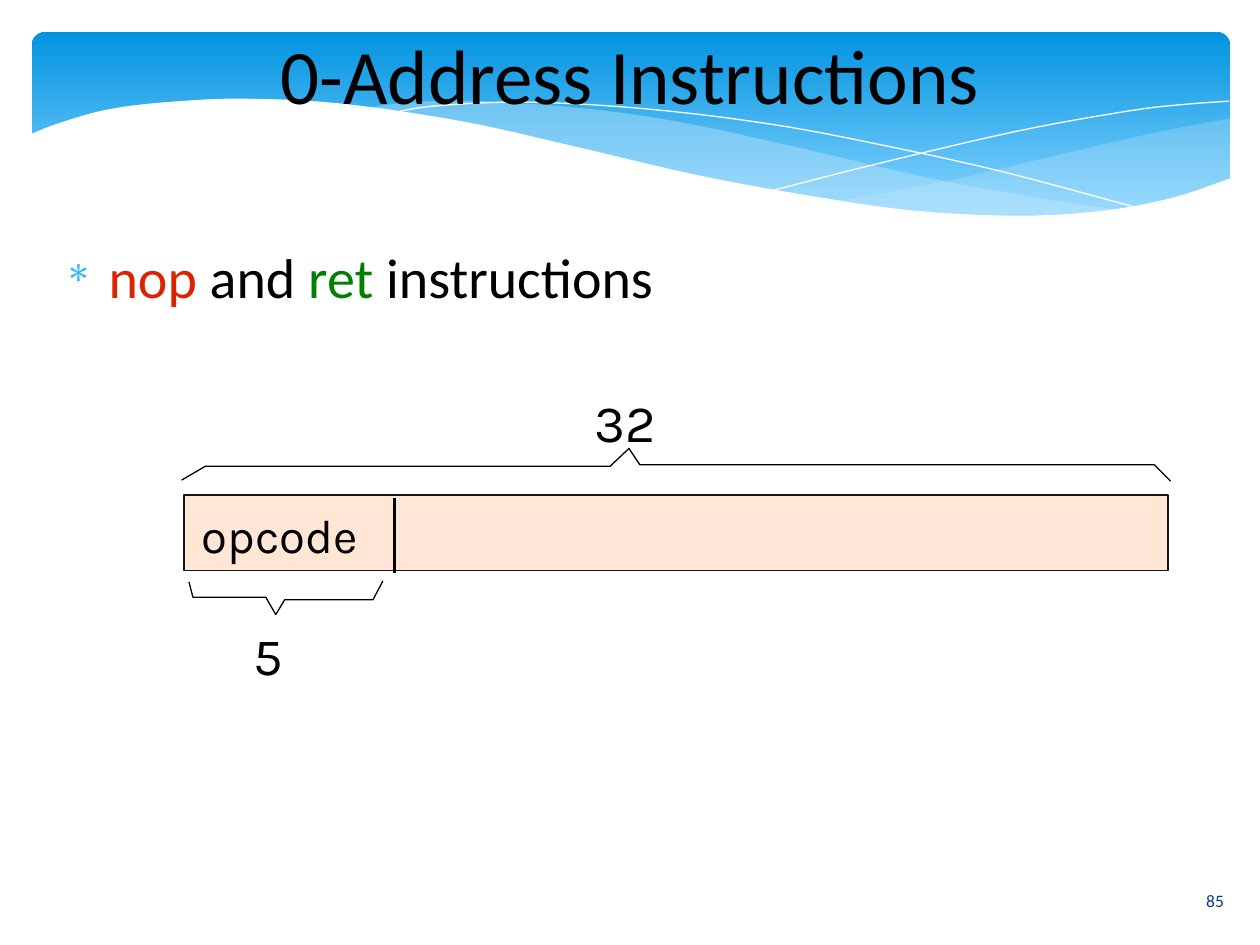
from dataclasses import dataclass

from lxml.etree import SubElement
from pptx import Presentation
from pptx.dml.color import RGBColor
from pptx.enum.shapes import MSO_CONNECTOR, MSO_SHAPE
from pptx.enum.text import MSO_ANCHOR, PP_ALIGN
from pptx.oxml.ns import qn
from pptx.util import Cm, Pt


@dataclass(frozen=True)
class Theme:
    black: str = "000000"
    white: str = "FFFFFF"
    banner_top: str = "0293E0"
    banner_bottom: str = "83D3FE"
    veil: str = "C6E7FC"
    bullet: str = "31B6FD"
    red: str = "DC2300"
    green: str = "008000"
    page: str = "073E87"
    field: str = "FFE6D5"
    field_line: str = "15111D"
    text_font: str = "Calibri"
    code_font: str = "Karla"
    title_size: int = 44
    body_size: int = 32
    width_size: int = 30
    opcode_size: int = 27
    page_size: int = 10


THEME = Theme()

# Banner curves, in cm from the banner's top left corner
WAVE = [(-0.05, 2.08), (0.53, 1.85), (1.52, 1.57), (2.72, 1.42), (4.27, 1.35),
        (6.25, 1.45), (8.64, 1.8), (10.72, 2.26), (13.46, 2.9), (15.82, 3.33),
        (17.81, 3.61), (19.91, 3.71), (21.59, 3.61), (22.99, 3.35), (24.18, 2.95)]
WAVE_BASE = [(24.18, 5.05), (-0.05, 5.05)]
RIGHT_VEIL_TOP = [(24.16, 1.75), (22.76, 2.01), (21.23, 2.36), (18.49, 3), (16.15, 3.43)]
RIGHT_VEIL_BOTTOM = [(16.15, 3.43), (17.63, 3.61), (19.2, 3.71), (20.57, 3.73),
                     (21.95, 3.58), (23.11, 3.33), (24.16, 2.95)]
MIDDLE_VEIL_TOP = [(22.05, 3.61), (20.62, 3.4), (18.19, 2.97), (15.34, 2.31), (13.11, 1.83),
                   (11.18, 1.55), (9.02, 1.4), (7.7, 1.42), (6.63, 1.55)]
MIDDLE_VEIL_BOTTOM = [(6.63, 1.55), (8.05, 1.75), (10.77, 2.31), (13.74, 3), (15.88, 3.38),
                      (18.06, 3.66), (20.14, 3.76), (22.05, 3.61)]
FALLING_LINE = [(7.21, 1.65), (8.1, 1.5), (9.93, 1.42), (12.32, 1.55), (14.81, 1.85),
                (17.02, 2.26), (19.56, 2.82), (22.4, 3.58)]
RISING_LINE = [(14.94, 3.2), (17.02, 2.67), (19.84, 2.01), (22.1, 1.6), (23.19, 1.47),
               (24.13, 1.4)]

# Braces, in cm from the instruction word's top left corner
WORD_BRACE = [(-0.05, -0.3), (0.43, -0.58), (8.59, -0.58), (8.97, -0.94), (9.19, -0.61),
              (19.56, -0.61), (19.89, -0.28)]
OPCODE_BRACE = [(0.1, 1.75), (0.18, 2.06), (1.65, 2.06), (1.85, 2.41), (2.03, 2.11),
                (3.81, 2.11), (4.01, 1.73)]


def color(value):
    return RGBColor.from_string(value)


def smooth(points, steps=5):
    """Return a Catmull-Rom curve through the points as short segments."""
    padded = [points[0], *points, points[-1]]
    curve = [points[0]]
    for a, b, c, d in zip(padded, padded[1:], padded[2:], padded[3:]):
        for step in range(1, steps + 1):
            t = step / steps
            curve.append(tuple(
                0.5 * (2 * q + (r - p) * t + (2 * p - 5 * q + 4 * r - s) * t ** 2
                       + (3 * q - p - 3 * r + s) * t ** 3)
                for p, q, r, s in zip(a, b, c, d)))
    return curve


def add_outline(slide, left, top, points, fill=None, line=None, alpha=None):
    """Draw points given in cm from (left, top); closed only when filled."""
    places = [(Cm(left + x), Cm(top + y)) for x, y in points]
    builder = slide.shapes.build_freeform(*places[0])
    builder.add_line_segments(places[1:], close=fill is not None)
    shape = builder.convert_to_shape()
    paint(shape, fill, line)
    if alpha is not None:
        fill_color = shape.fill._xPr.find(qn("a:solidFill"))[0]
        SubElement(fill_color, qn("a:alpha"), val=str(alpha * 1000))


def paint(shape, fill, line):
    shape.shadow.inherit = False
    if fill:
        shape.fill.solid()
        shape.fill.fore_color.rgb = color(fill)
    else:
        shape.fill.background()
    if line:
        shape.line.color.rgb = color(line)
        shape.line.width = Pt(0)
    else:
        shape.line.fill.background()


def add_text(slide, box, text, size, font=THEME.text_font, ink=THEME.black,
             align=PP_ALIGN.LEFT, anchor=MSO_ANCHOR.TOP, wrap=True):
    """Add a text box without margins and return its paragraph."""
    frame = slide.shapes.add_textbox(*map(Cm, box)).text_frame
    frame.word_wrap = wrap
    frame.vertical_anchor = anchor
    frame.margin_left = frame.margin_right = frame.margin_top = frame.margin_bottom = 0
    paragraph = frame.paragraphs[0]
    paragraph.text = text
    paragraph.alignment = align
    paragraph.font.size = Pt(size)
    paragraph.font.name = font
    paragraph.font.color.rgb = color(ink)
    return paragraph


def add_banner(slide, left, top, width, height):
    panel = slide.shapes.add_shape(MSO_SHAPE.ROUNDED_RECTANGLE,
                                   *map(Cm, (left, top, width, height)))
    panel.adjustments[0] = 0.07
    paint(panel, None, None)
    panel.fill.gradient()
    panel.fill.gradient_angle = 270
    stops = zip(panel.fill.gradient_stops, (0, 0.9), (THEME.banner_top, THEME.banner_bottom))
    for stop, position, value in stops:
        stop.position = position
        stop.color.rgb = color(value)
    for upper, lower, alpha in ((RIGHT_VEIL_TOP, RIGHT_VEIL_BOTTOM, 29),
                                (MIDDLE_VEIL_TOP, MIDDLE_VEIL_BOTTOM, 40)):
        add_outline(slide, left, top, smooth(upper) + smooth(lower), THEME.veil, alpha=alpha)
    for points in (FALLING_LINE, RISING_LINE):
        add_outline(slide, left, top, smooth(points), line=THEME.white)
    add_outline(slide, left, top, smooth(WAVE) + WAVE_BASE, THEME.white)


def add_bullet_line(slide, box, parts):
    paragraph = add_text(slide, box, "", THEME.body_size)
    properties = paragraph._p.get_or_add_pPr()
    properties.set("marL", str(Cm(1.35)))
    properties.set("indent", str(Cm(-0.89)))
    bullet_color = SubElement(properties, qn("a:buClr"))
    SubElement(bullet_color, qn("a:srgbClr"), val=THEME.bullet)
    SubElement(properties, qn("a:buSzPct"), val="70000")
    SubElement(properties, qn("a:buFont"), typeface="Symbol")
    SubElement(properties, qn("a:buChar"), char="∗")
    properties.append(properties.find(qn("a:defRPr")))
    for text, ink in parts:
        run = paragraph.add_run()
        run.text = text
        run.font.color.rgb = color(ink)


def add_instruction_word(slide, left, top, width, height):
    """Draw the word with its opcode field, braces and bit widths."""
    word = slide.shapes.add_shape(MSO_SHAPE.RECTANGLE, *map(Cm, (left, top, width, height)))
    paint(word, THEME.field, THEME.field_line)
    divider_left = Cm(left + 4.24)
    divider = slide.shapes.add_connector(MSO_CONNECTOR.STRAIGHT, divider_left, Cm(top + 0.05),
                                         divider_left, Cm(top + height + 0.05))
    divider.line.color.rgb = color(THEME.black)
    divider.line.width = Pt(0)
    SubElement(divider._element.spPr, qn("a:effectLst"))
    for brace in (WORD_BRACE, OPCODE_BRACE):
        add_outline(slide, left, top, brace, line=THEME.black)
    for text, x, y, label_width, label_height, size in (
            ("opcode", 0.36, 0.23, 3.63, 1.32, THEME.opcode_size),
            ("5", 1.4, 2.59, 1.07, 1.45, THEME.width_size),
            ("32", 8.28, -2.11, 1.68, 1.45, THEME.width_size)):
        add_text(slide, (left + x, top + y, label_width, label_height), text, size,
                 THEME.code_font, wrap=False)


def main():
    presentation = Presentation()
    presentation.slide_width, presentation.slide_height = Cm(25.4), Cm(19.05)
    slide = presentation.slides.add_slide(presentation.slide_layouts[6])
    add_banner(slide, 0.64, 0.64, 24.16, 3.96)
    centred = {"align": PP_ALIGN.CENTER, "anchor": MSO_ANCHOR.MIDDLE}
    add_text(slide, (23.72, 17.65, 1.55, 1.02), "85", THEME.page_size, ink=THEME.page, **centred)
    add_text(slide, (0.64, 0.2, 24.13, 2.59), "0-Address Instructions", THEME.title_size,
             **centred)
    add_bullet_line(slide, (0.84, 4.88, 23.8, 2.16), (
        ("nop", THEME.red), (" and ", THEME.black),
        ("ret", THEME.green), (" instructions", THEME.black)))
    add_instruction_word(slide, 3.71, 9.98, 19.84, 1.52)
    presentation.save("out.pptx")


if __name__ == "__main__":
    main()
